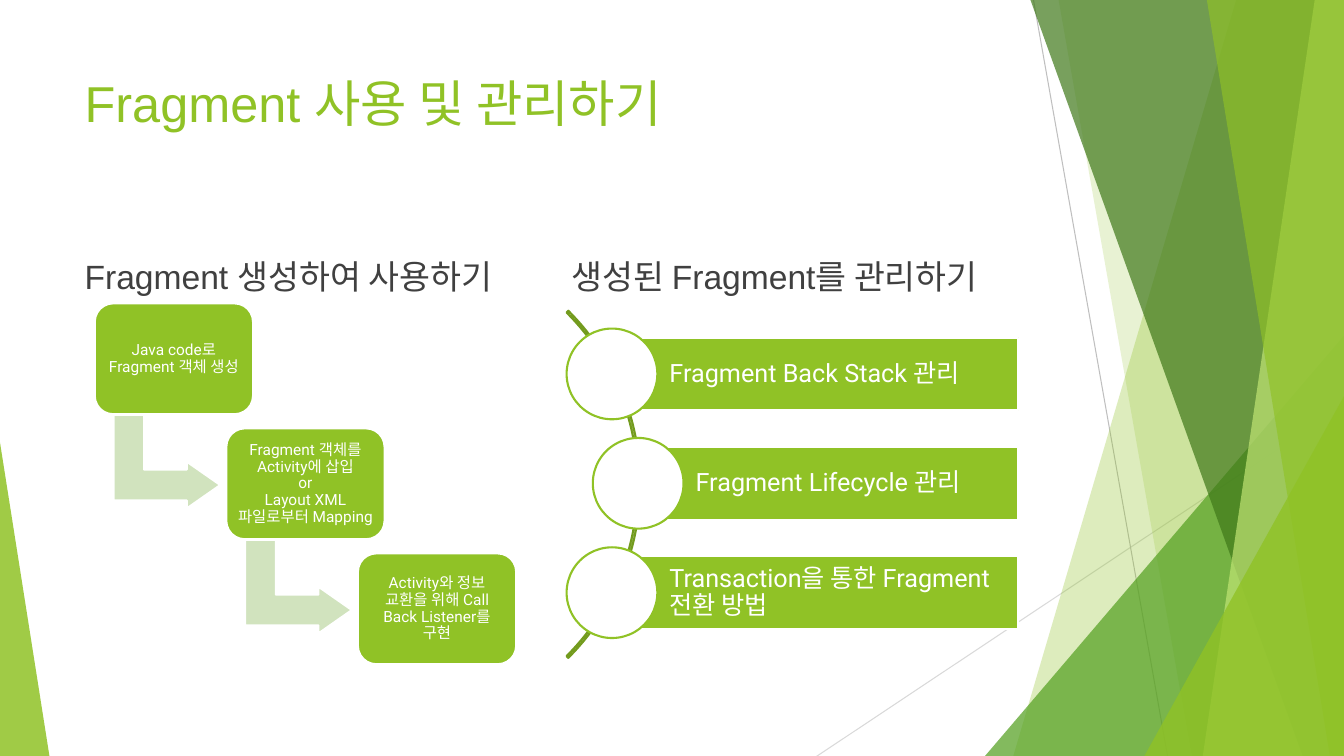
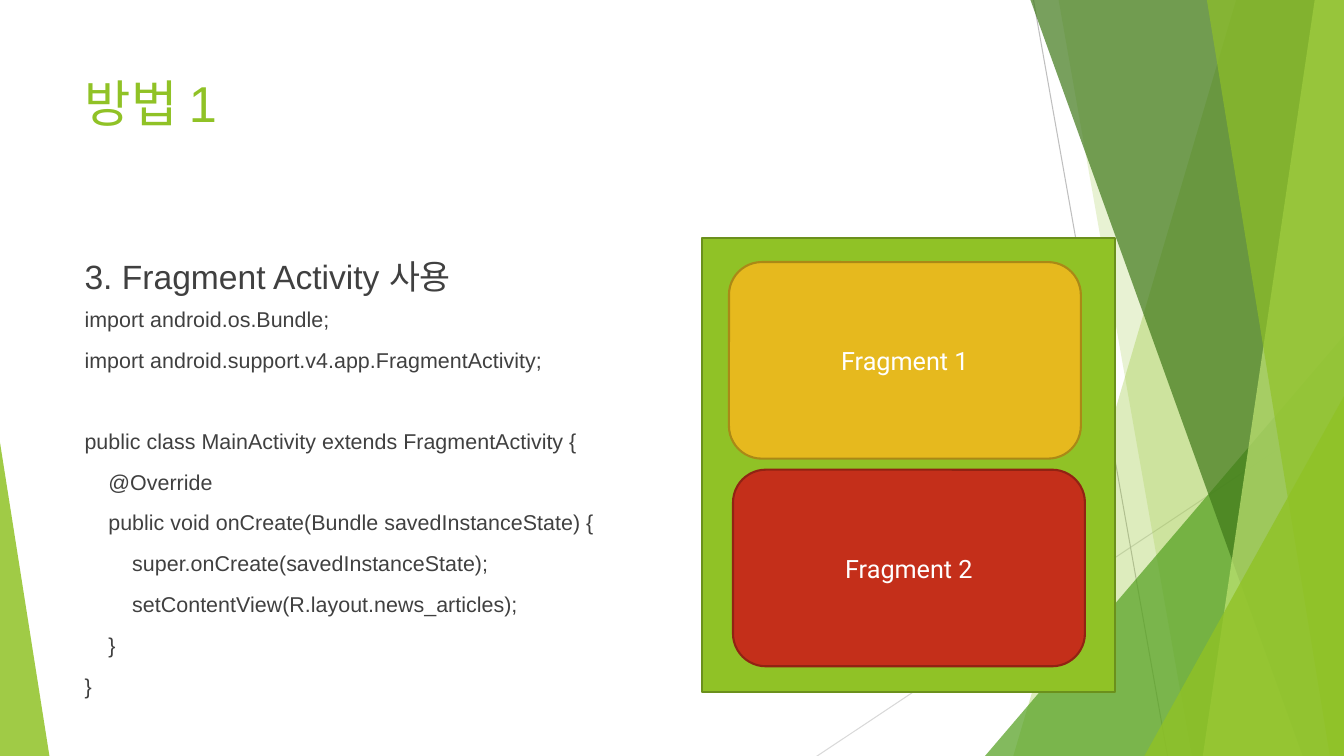
from dataclasses import dataclass
from typing import Optional

from lxml import etree
from pptx import Presentation
from pptx.dml.color import RGBColor
from pptx.enum.shapes import MSO_CONNECTOR, MSO_SHAPE as SHAPE
from pptx.enum.text import MSO_ANCHOR as ANCHOR, PP_ALIGN as ALIGN
from pptx.oxml.ns import qn
from pptx.util import Inches, Pt

GREEN, DARK_GREEN, PALE_GREEN = "90C226", "739B1E", "D1E3BE"
WHITE, INK = "FFFFFF", "404040"
HEAD_FONT, SHAPE_FONT = "Arial", "Roboto"
LEFT, HEAD_TOP, HEAD_W, HEAD_H = 0.74, 2.36, 4.58, 0.63


@dataclass(frozen=True)
class Facet:
    points: tuple
    color: str
    opacity: int


@dataclass(frozen=True)
class Ray:
    start: tuple
    end: tuple
    color: str


@dataclass(frozen=True)
class TextStyle:
    size: float
    font: str = SHAPE_FONT
    color: str = WHITE
    align: ALIGN = ALIGN.LEFT
    anchor: ANCHOR = ANCHOR.MIDDLE
    spacing: Optional[float] = None


@dataclass(frozen=True)
class Pane:
    label: str
    left: float
    top: float
    fill: str
    line: str


RAYS = (
    Ray((8.09, 7.51), (13.3, 4.04), "D9D9D9"),
    Ray((10.25, 0), (11.58, 7.5), "BFBFBF"),
)
FACETS = (
    Facet(((12.26, 0), (10.05, 7.5), (13.33, 7.5), (13.33, 0)), GREEN, 30),
    Facet(((10.5, 0), (11.82, 7.5), (13.33, 7.5), (13.33, 0)), GREEN, 20),
    Facet(((9.77, 7.5), (13.33, 3.33), (13.33, 7.5)), "54A021", 72),
    Facet(((10.22, 0), (12.92, 7.5), (13.33, 7.5), (13.33, 0)), "3F7819", 70),
    Facet(((13.04, 0), (11.93, 7.5), (13.33, 7.5), (13.33, 0)), "C0E474", 70),
    Facet(((11.97, 0), (13.19, 7.5), (13.33, 7.5), (13.33, 0)), GREEN, 65),
    Facet(((11.35, 7.5), (13.33, 3.93), (13.33, 7.5)), GREEN, 80),
    Facet(((0, 4.39), (0.49, 7.5), (0, 7.5)), GREEN, 85),
)

TITLE = TextStyle(36, HEAD_FONT, GREEN, anchor=ANCHOR.TOP)
HEADING = TextStyle(24, HEAD_FONT, INK, anchor=ANCHOR.BOTTOM)
CODE = TextStyle(15.3, HEAD_FONT, INK, anchor=ANCHOR.TOP)
STEP = TextStyle(11, align=ALIGN.CENTER, spacing=0.9)
BAR = TextStyle(18, spacing=0.9)
PANE = TextStyle(18, align=ALIGN.CENTER)

STEPS = (
    "Java code로 Fragment 객체 생성",
    "Fragment 객체를 Activity에 삽입\nor\nLayout XML 파일로부터 Mapping",
    "Activity와 정보 교환을 위해 Call Back Listener를 구현",
)
TOPICS = (
    ("Fragment Back Stack 관리", 6.07),
    ("Fragment Lifecycle 관리", 6.33),
    ("Transaction을 통한 Fragment 전환 방법", 6.07),
)
# Code is grouped in blocks, with a one-line gap between them
CODE_BLOCKS = (
    (
        "import android.os.Bundle;",
        "import android.support.v4.app.FragmentActivity;",
    ),
    (
        "public class MainActivity extends FragmentActivity {",
        "    @Override",
        "    public void onCreate(Bundle savedInstanceState) {",
        "        super.onCreate(savedInstanceState);",
        "        setContentView(R.layout.news_articles);",
        "    }",
        "}",
    ),
)
PANES = (
    Pane("Fragment 1", 7.23, 2.6, "E6B91E", "AA8916"),
    Pane("Fragment 2", 7.27, 4.66, "C42F1A", "912313"),
)


def rgb(color: str) -> RGBColor:
    return RGBColor.from_string(color)


def style_paragraph(p, text: str, style: TextStyle) -> None:
    p.text = text
    p.alignment = style.align
    if style.spacing:
        p.line_spacing = style.spacing
    p.font.size = Pt(style.size)
    p.font.name = style.font
    p.font.color.rgb = rgb(style.color)


def write(sp, text: str, style: TextStyle, insets: Optional[tuple] = None) -> None:
    tf = sp.text_frame
    tf.word_wrap = True
    tf.vertical_anchor = style.anchor
    if insets:
        tf.margin_left, tf.margin_top, tf.margin_right, tf.margin_bottom = map(Inches, insets)
    style_paragraph(tf.paragraphs[0], text, style)


def add_box(slide, kind: SHAPE, left: float, top: float, width: float, height: float,
            fill: Optional[str], line: str = WHITE):
    sp = slide.shapes.add_shape(kind, Inches(left), Inches(top), Inches(width), Inches(height))
    sp.shadow.inherit = False
    if fill:
        sp.fill.solid()
        sp.fill.fore_color.rgb = rgb(fill)
    else:
        sp.fill.background()
    sp.line.color.rgb = rgb(line)
    sp.line.width = Pt(1.5)
    return sp


def add_ray(slide, ray: Ray) -> None:
    cxn = slide.shapes.add_connector(MSO_CONNECTOR.STRAIGHT, *map(Inches, ray.start + ray.end))
    cxn.line.color.rgb = rgb(ray.color)
    cxn.line.width = Pt(0.75)
    etree.SubElement(cxn.element.spPr, qn("a:effectLst"))


def add_facet(slide, facet: Facet) -> None:
    first, *rest = [(Inches(x), Inches(y)) for x, y in facet.points]
    builder = slide.shapes.build_freeform(*first)
    builder.add_line_segments(rest, close=True)
    sp = builder.convert_to_shape()
    sp.shadow.inherit = False
    sp.fill.solid()
    sp.fill.fore_color.rgb = rgb(facet.color)
    sp.line.fill.background()
    color = sp.element.spPr.find(qn("a:solidFill"))[0]
    etree.SubElement(color, qn("a:alpha"), val=str(facet.opacity * 1000))


def add_heading(slide, text: str, left: float) -> None:
    sp = slide.shapes.add_textbox(Inches(left), Inches(HEAD_TOP), Inches(HEAD_W), Inches(HEAD_H))
    write(sp, text, HEADING)


def new_slide(prs, title: str):
    slide = prs.slides.add_slide(prs.slide_layouts[5])
    for ray in RAYS:
        add_ray(slide, ray)
    for facet in FACETS:
        add_facet(slide, facet)
    sp = slide.shapes.title
    sp.left, sp.top, sp.width, sp.height = map(Inches, (LEFT, 0.67, 9.4, 1.44))
    write(sp, title, TITLE)
    return slide


def add_steps(slide) -> None:
    for i, text in enumerate(STEPS):
        dx, dy = i * 1.305, i * 1.24
        # Elbow arrow to the next step
        if i < len(STEPS) - 1:
            arrow = add_box(slide, SHAPE.BENT_UP_ARROW, 1.19 + dx, 4.05 + dy, 0.93, 1.06, PALE_GREEN)
            arrow.rotation = 90
            for n, value in enumerate((0.328, 0.25, 0.358)):
                arrow.adjustments[n] = value
        sp = add_box(slide, SHAPE.ROUNDED_RECTANGLE, 0.94 + dx, 3.01 + dy, 1.57, 1.1, GREEN)
        write(sp, text, STEP, (0.05,) * 4)


def add_topics(slide) -> None:
    arc = add_box(slide, SHAPE.BLOCK_ARC, 1.48, 2.37, 4.87, 4.87, None, DARK_GREEN)
    for n, value in enumerate((189, 27, 0.005)):
        arc.adjustments[n] = value
    for i, (text, left) in enumerate(TOPICS):
        top = 3.35 + i * 1.085
        bar = add_box(slide, SHAPE.RECTANGLE, left, top, 10.1 - left, 0.72, GREEN)
        write(bar, text, BAR, (0.57, 0.05, 0.05, 0.05))
        add_box(slide, SHAPE.OVAL, left - 0.45, top - 0.09, 0.9, 0.9, WHITE, GREEN)


def add_code(slide) -> None:
    sp = slide.shapes.add_textbox(Inches(LEFT), Inches(2.99), Inches(10.9), Inches(3.61))
    tf = sp.text_frame
    for b, block in enumerate(CODE_BLOCKS):
        for n, text in enumerate(block):
            if b == n == 0:
                write(sp, text, CODE)
                continue
            p = tf.add_paragraph()
            style_paragraph(p, text, CODE)
            p.space_before = Pt(10.8 if n else 39.2)


def build_usage(prs) -> None:
    slide = new_slide(prs, "Fragment 사용 및 관리하기")
    add_heading(slide, "Fragment 생성하여 사용하기", LEFT)
    add_heading(slide, "생성된 Fragment를 관리하기", 5.57)
    add_topics(slide)
    add_steps(slide)


def build_method(prs) -> None:
    slide = new_slide(prs, "방법 1")
    add_heading(slide, "3. Fragment Activity 사용", LEFT)
    add_code(slide)
    # Screen with two fragments
    add_box(slide, SHAPE.RECTANGLE, 6.96, 2.36, 4.1, 4.51, GREEN, "6B901C")
    for pane in PANES:
        sp = add_box(slide, SHAPE.ROUNDED_RECTANGLE, pane.left, pane.top, 3.49, 1.95,
                     pane.fill, pane.line)
        write(sp, pane.label, PANE)


def main() -> None:
    prs = Presentation()
    prs.slide_width, prs.slide_height = Inches(13.33), Inches(7.5)
    build_usage(prs)
    build_method(prs)
    prs.save("out.pptx")


if __name__ == "__main__":
    main()
